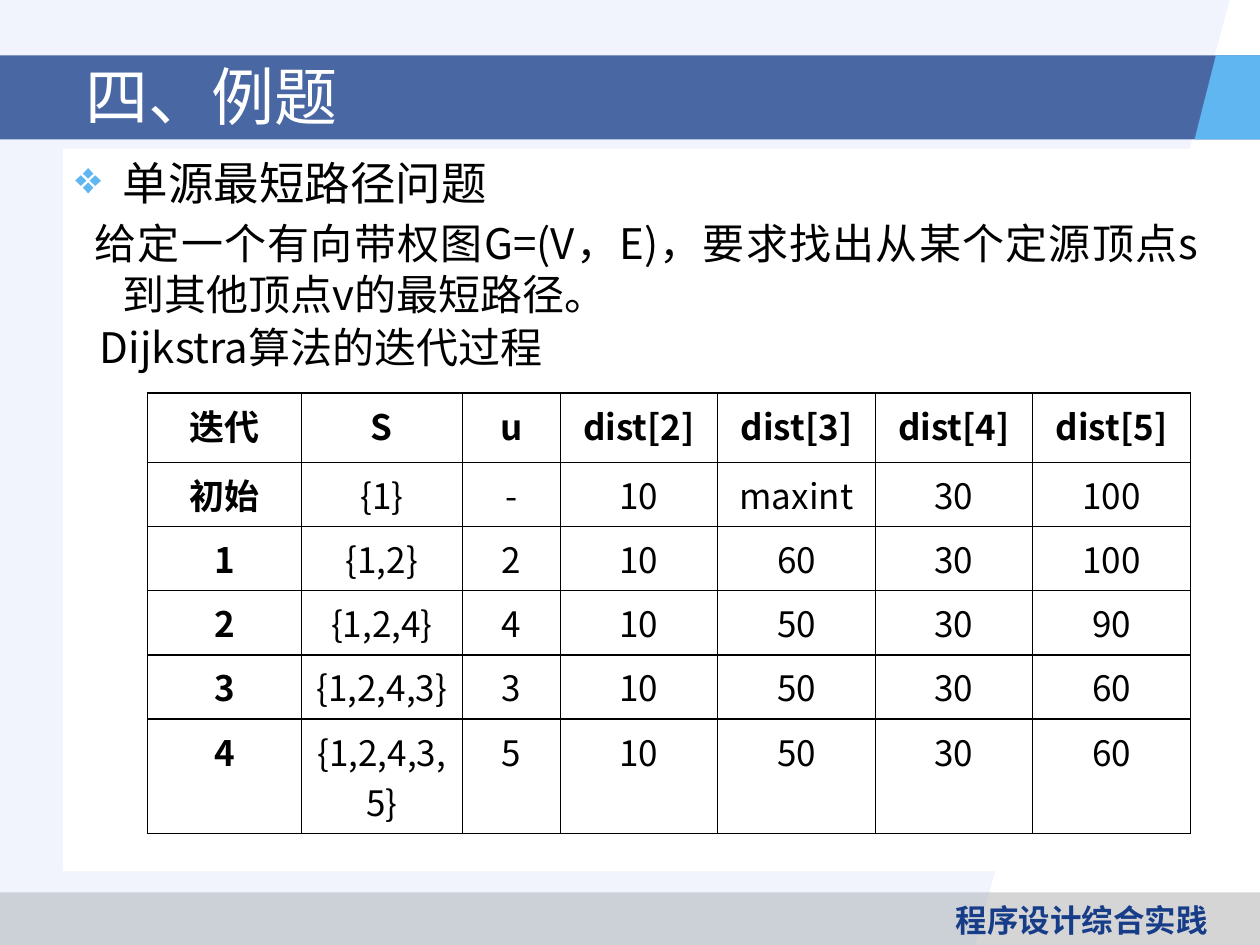
from lxml import etree
from pptx import Presentation
from pptx.dml.color import RGBColor
from pptx.enum.shapes import MSO_SHAPE
from pptx.enum.text import MSO_ANCHOR, PP_ALIGN
from pptx.oxml.ns import qn
from pptx.util import Pt

RECTANGLE = MSO_SHAPE.RECTANGLE
TOP, MIDDLE = MSO_ANCHOR.TOP, MSO_ANCHOR.MIDDLE
LEFT, CENTER, JUSTIFY = PP_ALIGN.LEFT, PP_ALIGN.CENTER, PP_ALIGN.JUSTIFY
CJK = "Noto Sans CJK SC"
COLORS = {"black": "000000", "white": "FFFFFF", "navy": "173D89",
          "sky": "5FB6F1", "pale": "94B1EC", "gray": "969696"}


def paint(shape, color, opacity=100):
    shape.shadow.inherit = False
    shape.line.fill.background()
    shape.fill.solid()
    shape.fill.fore_color.rgb = RGBColor.from_string(COLORS[color])
    if opacity < 100:
        tint = shape.fill._xPr.find(qn("a:solidFill"))[0]
        etree.SubElement(tint, qn("a:alpha"), val=str(opacity * 1000))


def write(para, text, align, color, **font):
    para.alignment = align
    span = para.add_run()
    span.text = text
    span.font.color.rgb = RGBColor.from_string(COLORS[color])
    for name, value in font.items():
        setattr(span.font, name, value)
    etree.SubElement(span._r.get_or_add_rPr(), qn("a:ea"), typeface=CJK)


deck = Presentation()
deck.slide_width, deck.slide_height = Pt(720), Pt(540)
page = deck.slides.add_slide(deck.slide_layouts[6])

backdrop = [
    ([(0, 510), (720, 510), (720, 540), (0, 540)], "gray", 40),
    ([(0, 0), (702.7, 0), (557.3, 540), (0, 540)], "pale", 13),
    ([(0, 31.7), (720, 31.7), (720, 79.7), (0, 79.7)], "navy", 77),
    ([(694.8, 31.7), (682.6, 79.7), (720, 79.7), (720, 31.7)], "sky", 100),
]
for points, color, opacity in backdrop:
    (left, top), (right, bottom) = points[0], points[2]
    if left == 0 and points[1][0] == right:
        shape = page.shapes.add_shape(RECTANGLE, Pt(left), Pt(top), Pt(right - left), Pt(bottom - top))
    else:
        outline = page.shapes.build_freeform(Pt(left), Pt(top))
        outline.add_line_segments([(Pt(x), Pt(y)) for x, y in points[1:]])
        shape = outline.convert_to_shape()
    paint(shape, color, opacity)

labels = [
    ("程序设计综合实践", (522, 511.2, 192.2, 28.8), TOP, CENTER, "navy",
     {"size": Pt(18), "name": "Open Sans", "bold": True}),
    ("四、例题", (41.8, 32.4, 648, 44.6), MIDDLE, LEFT, "white",
     {"size": Pt(36), "name": "Karla"}),
]
for text, place, anchor, align, color, font in labels:
    box = page.shapes.add_textbox(*map(Pt, place))
    box.text_frame.word_wrap = True
    box.text_frame.vertical_anchor = anchor
    write(box.text_frame.paragraphs[0], text, align, color, **font)

body = page.shapes.add_shape(RECTANGLE, Pt(36), Pt(85), Pt(656), Pt(413))
paint(body, "white")
frame = body.text_frame
frame.word_wrap = True
frame.vertical_anchor = TOP
statements = [
    ("单源最短路径问题", 26, JUSTIFY, -27, 1),
    ("给定一个有向带权图G=(V，E)，要求找出从某个定源顶点s到其他顶点v的最短路径。", 24, JUSTIFY, -16, 1),
    ("Dijkstra算法的迭代过程", 24, LEFT, -13, 0.9),
]
for index, (text, size, align, indent, spacing) in enumerate(statements):
    para = frame.add_paragraph() if index else frame.paragraphs[0]
    para.space_before = Pt(size * 0.2)
    para.line_spacing = spacing
    write(para, text, align, "black", size=Pt(size), name=CJK)
    layout = para._p.get_or_add_pPr()
    layout.set("marL", str(Pt(27)))
    layout.set("indent", str(Pt(indent)))
    if index == 0:
        tint = etree.SubElement(layout, qn("a:buClr"))
        etree.SubElement(tint, qn("a:srgbClr"), val=COLORS["sky"])
        etree.SubElement(layout, qn("a:buChar"), char="❖")

rows = [
    ["迭代", "S", "u", "dist[2]", "dist[3]", "dist[4]", "dist[5]"],
    ["初始", "{1}", "-", "10", "maxint", "30", "100"],
    ["1", "{1,2}", "2", "10", "60", "30", "100"],
    ["2", "{1,2,4}", "4", "10", "50", "30", "90"],
    ["3", "{1,2,4,3}", "3", "10", "50", "30", "60"],
    ["4", "{1,2,4,3,5}", "5", "10", "50", "30", "60"],
]
widths = [88, 92, 56] + [90] * 4
heights = [39.6] + [36.7] * 4 + [65.5]
table = page.shapes.add_table(len(rows), len(widths), Pt(84.2), Pt(224.6),
                              Pt(sum(widths)), Pt(sum(heights))).table
for column, width in zip(table.columns, widths):
    column.width = Pt(width)
for r, (values, height) in enumerate(zip(rows, heights)):
    table.rows[r].height = Pt(height)
    for c, value in enumerate(values):
        cell = table.cell(r, c)
        write(cell.text_frame.paragraphs[0], value, CENTER, "black",
              size=Pt(20), name=CJK, bold=r == 0 or c == 0)
        borders = cell._tc.get_or_add_tcPr()
        for side in ("lnL", "lnR", "lnT", "lnB"):
            line = etree.SubElement(borders, qn("a:" + side), w=str(Pt(1)))
            fill = etree.SubElement(line, qn("a:solidFill"))
            etree.SubElement(fill, qn("a:srgbClr"), val=COLORS["black"])
        cell.fill.background()

deck.save("out.pptx")
